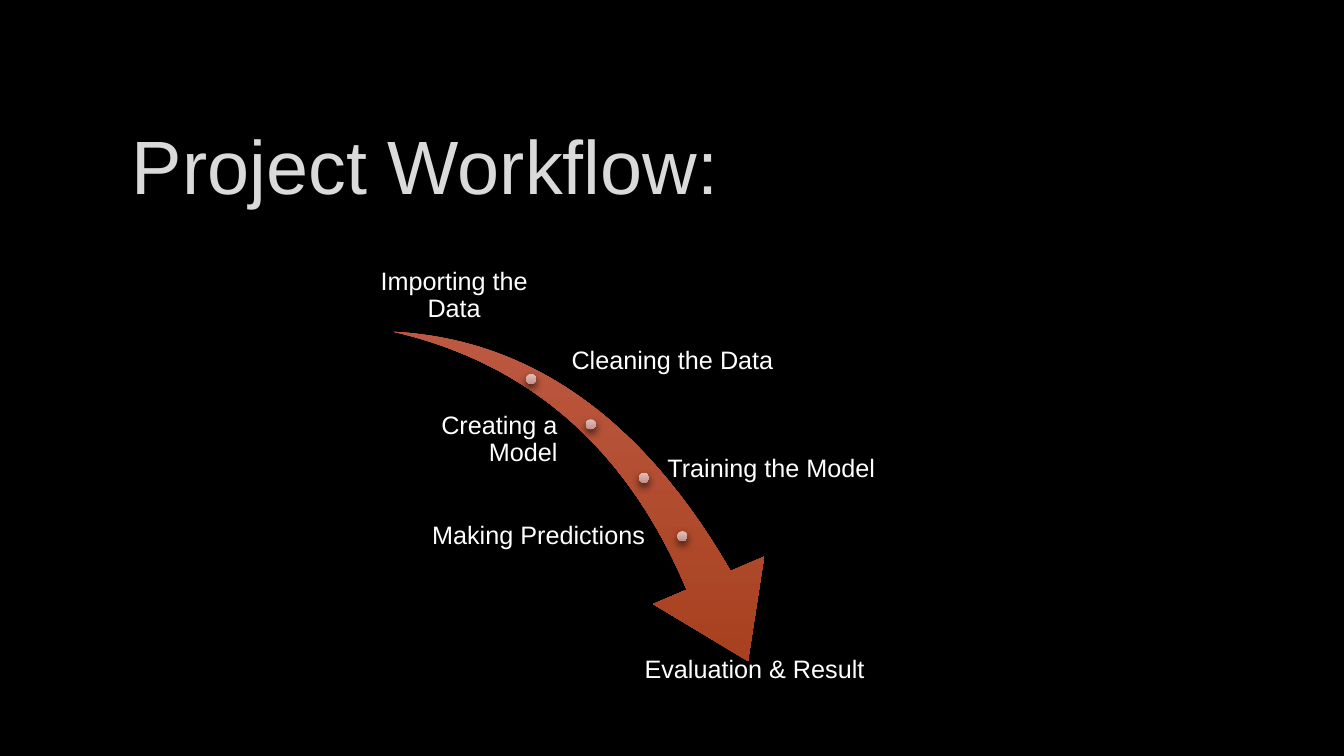
from lxml.etree import SubElement
from pptx import Presentation
from pptx.dml.color import RGBColor
from pptx.enum.shapes import MSO_SHAPE as Preset
from pptx.enum.text import MSO_ANCHOR as Anchor, PP_ALIGN as Align
from pptx.oxml import parse_xml
from pptx.oxml.ns import nsdecls, qn
from pptx.util import Pt

FONT = "Arial"
ARROW_COLORS = ("C25F4A", "A23B17")
DOT_COLORS = ("E1BFBB", "C4918C")
DOT_SIZE = 7.2
LABEL_HEIGHT = 55.4

# Left, top: relative to the workflow box
STEP_DOTS = [(121.7, 89.3), (164.2, 121.7), (202.3, 159.8), (229.7, 201.6)]

# Text, left, top, width, alignment, anchor
STEP_LABELS = [
    ("Importing the Data", 0, 0, 140.4, Align.CENTER, Anchor.BOTTOM),
    ("Cleaning the Data", 151.9, 52.6, 208.8, Align.LEFT, Anchor.MIDDLE),
    ("Creating a Model", 5.8, 108.7, 140.4, Align.RIGHT, Anchor.MIDDLE),
    ("Training the Model", 196.6, 129.6, 200.2, Align.CENTER, Anchor.MIDDLE),
    ("Making Predictions", 0, 177.8, 208.8, Align.RIGHT, Anchor.MIDDLE),
    ("Evaluation & Result", 190.1, 289.4, 189.4, Align.CENTER, Anchor.TOP),
]


def rgb(hex_color):
    return RGBColor.from_string(hex_color)


def add_text(slide, text, left, top, width, height, *, size=18, color="FFFFFF",
             align=Align.LEFT, anchor=Anchor.MIDDLE, inset=(2.2, 2.2), spacing=0.9):
    box = slide.shapes.add_textbox(Pt(left), Pt(top), Pt(width), Pt(height))
    frame = box.text_frame
    frame.word_wrap = True
    frame.vertical_anchor = anchor
    frame.margin_left = frame.margin_right = Pt(inset[0])
    frame.margin_top = frame.margin_bottom = Pt(inset[1])
    paragraph = frame.paragraphs[0]
    paragraph.alignment = align
    paragraph.line_spacing = spacing
    run = paragraph.add_run()
    run.text = text
    run.font.name = FONT
    run.font.size = Pt(size)
    run.font.color.rgb = rgb(color)
    return run


def add_glossy_shape(slide, preset, left, top, width, height, colors):
    """Add a borderless shape with a downward gradient and a soft shadow."""
    shape = slide.shapes.add_shape(preset, Pt(left), Pt(top), Pt(width), Pt(height))
    shape.line.fill.background()
    shape.fill.gradient()
    shape.fill.gradient_angle = 270
    for stop, position, color in zip(shape.fill.gradient_stops, (0, 1), colors):
        stop.position = position
        stop.color.rgb = rgb(color)
    properties = shape._element.spPr
    properties.find(qn("a:gradFill")).set("rotWithShape", "0")

    shape.shadow.inherit = False
    effects = properties.find(qn("a:effectLst"))
    shadow = SubElement(effects, qn("a:outerShdw"), blurRad=str(Pt(6)), dist=str(Pt(3)),
                        dir="5400000", algn="ctr", rotWithShape="0")
    shadow_color = SubElement(shadow, qn("a:srgbClr"), val="000000")
    SubElement(shadow_color, qn("a:alpha"), val="75000")
    return shape


def draw_title(slide, left, top, width, height):
    title = add_text(slide, "Project Workflow:", left, top, width, height, size=54,
                     color="DADADA", align=Align.JUSTIFY, anchor=Anchor.BOTTOM,
                     inset=(7.2, 3.6), spacing=1.0)
    outline = parse_xml(
        f'<a:ln {nsdecls("a")} w="{Pt(0.75)}"><a:solidFill><a:srgbClr val="404040">'
        '<a:alpha val="10000"/></a:srgbClr></a:solidFill></a:ln>')
    title.font._element.insert(0, outline)


def draw_workflow(slide, left, top):
    arrow = add_glossy_shape(slide, Preset.SWOOSH_ARROW, left + 20, top + 68.4,
                             298, 207.4, ARROW_COLORS)
    arrow.rotation = 73.3
    arrow.adjustments[0] = 0.163
    arrow.adjustments[1] = 0.314

    for dot_left, dot_top in STEP_DOTS:
        add_glossy_shape(slide, Preset.OVAL, left + dot_left, top + dot_top,
                         DOT_SIZE, DOT_SIZE, DOT_COLORS)

    for step, step_left, step_top, width, align, anchor in STEP_LABELS:
        add_text(slide, step, left + step_left, top + step_top, width, LABEL_HEIGHT,
                 align=align, anchor=anchor)


def main():
    deck = Presentation()
    deck.slide_width, deck.slide_height = Pt(960), Pt(540)
    slide = deck.slides.add_slide(deck.slide_layouts[6])
    slide.background.fill.solid()
    slide.background.fill.fore_color.rgb = rgb("000000")
    draw_title(slide, 87.1, 49.7, 743, 103.7)
    draw_workflow(slide, 254.2, 177.8)
    deck.save("out.pptx")


if __name__ == "__main__":
    main()
